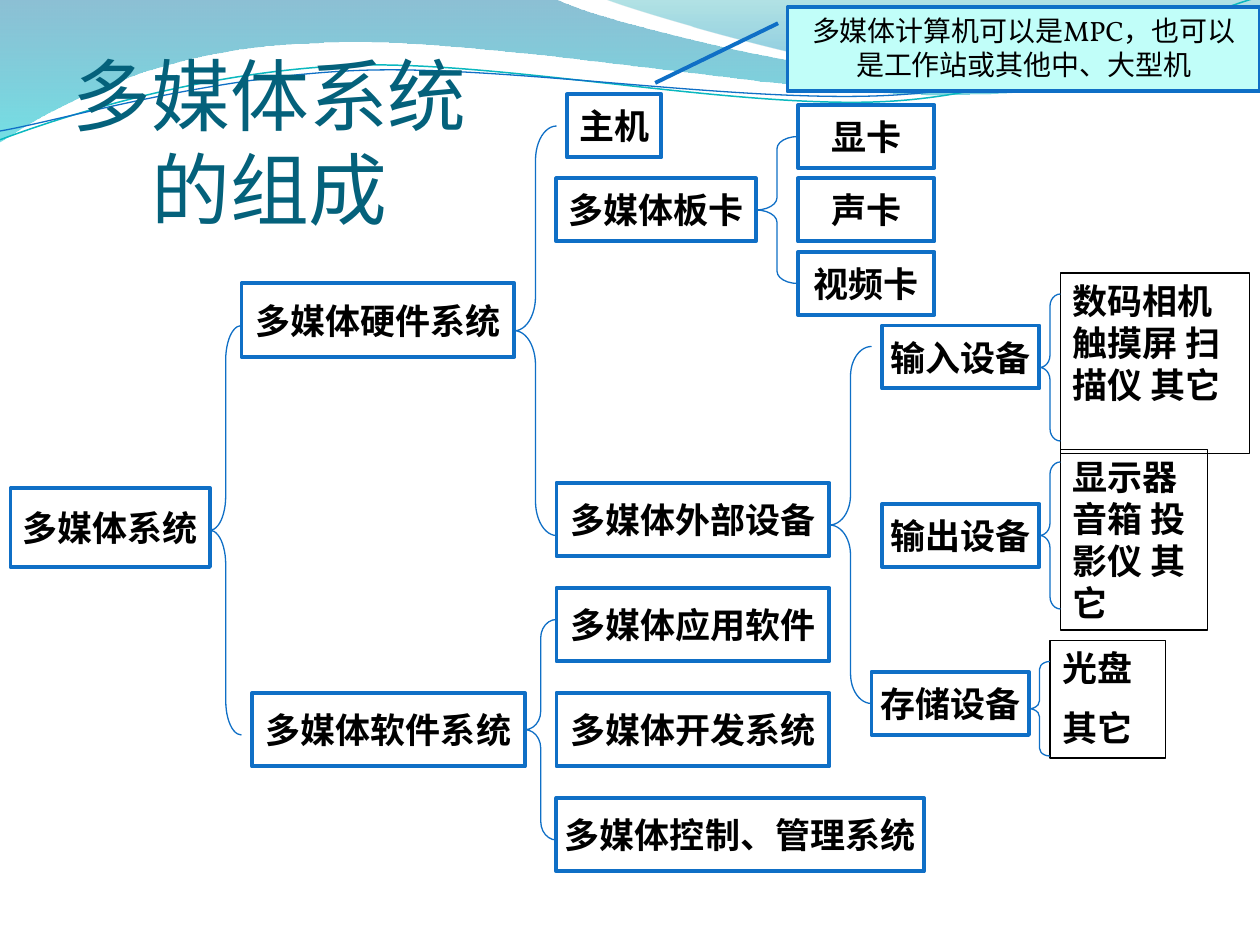
from pptx import Presentation
from pptx.dml.color import RGBColor
from pptx.enum.shapes import MSO_SHAPE
from pptx.enum.text import MSO_ANCHOR, PP_ALIGN
from pptx.oxml import parse_xml
from pptx.oxml.ns import nsdecls, qn
from pptx.util import Inches, Pt

COLORS = {"blue": "0F6FC6", "teal": "0AB8BF", "title": "04617B",
          "black": "000000", "note": "C1FEF9"}
TITLE = "多媒体系统的组成"
NOTE = ("多媒体计算机可以是MPC，也可以是工作站或其他中、大型机", 75, 0.7, 45, 8)

# Boxes: text, column, row, columns wide, rows high (120 x 90 grid)
BOXES = [
    ("多媒体系统", 1, 46.5, 19, 7.5),
    ("多媒体硬件系统", 23, 27, 26, 7),
    ("多媒体软件系统", 24, 66, 26, 7),
    ("主机", 54, 9, 9, 6),
    ("多媒体板卡", 53, 17, 19, 6),
    ("多媒体外部设备", 53, 46, 26, 7),
    ("显卡", 76, 10, 13, 6),
    ("声卡", 76, 17, 13, 6),
    ("视频卡", 76, 24, 13, 6),
    ("输入设备", 84, 31, 15, 6),
    ("输出设备", 84, 48, 15, 6),
    ("存储设备", 83, 64, 15, 6),
    ("多媒体应用软件", 53, 56, 26, 7),
    ("多媒体开发系统", 53, 66, 26, 7),
    ("多媒体控制、管理系统", 53, 76, 35, 7),
]
DEVICES = [
    ("数码相机触摸屏 扫描仪 其它", 101, 26, 18, 17.2),
    ("显示器 音箱 投影仪 其它", 101, 42.8, 14, 17.2),
    ("光盘\n其它", 100, 61, 11, 11.2),
]
BRACES = [(20, 31, 3, 39), (49, 12, 4, 39), (72, 13, 4, 14), (79, 33, 4, 34),
          (50, 59, 3, 21), (99, 28, 2, 14), (99, 44, 2, 14), (98, 63, 2, 9)]

# Waves in inches: a pair is a straight step, six numbers are a curve
BANDS = [
    ([(0, 0), (4.4, -0.01), (4.76, 0.17, 6.64, 0.63, 7.58, 0.63),
      (8.53, 0.63, 9.58, 0.26, 10, 0.09), (10.01, 0.36),
      (9.83, 0.44, 8.7, 0.76, 7.46, 0.75), (6.22, 0.75, 3.82, 0.28, 2.57, 0.34),
      (1.29, 0.36, 0.46, 0.83, -0.01, 1.13)],
     [(0, "0074A1", 45), (100, "00C6CF", 55)]),
    ([(4.79, -0.01), (5.09, 0.11, 6.82, 0.62, 7.69, 0.65),
      (8.56, 0.69, 9.61, 0.32, 10, 0.21), (10, 0)],
     [(0, "00A1A9", 30), (80, "008BBF", 45)]),
]
CURVES = [
    ([(0, 1.11), (0.48, 0.93, 1.58, 0.57, 2.77, 0.52),
      (3.95, 0.47, 5.93, 0.89, 7.13, 0.8), (8.33, 0.71, 9.38, 0.15, 9.98, -0.02)],
     "teal", 0.85),
    ([(0, 1.04), (0.47, 0.96, 1.64, 0.61, 2.83, 0.56),
      (4.03, 0.51, 5.97, 0.84, 7.17, 0.75), (8.36, 0.67, 9.41, 0.21, 10, 0.06)],
     "blue", 0.75),
]

prs = Presentation()
prs.slide_width, prs.slide_height = Inches(10), Inches(7.5)
CELL = prs.slide_width / 120
s = prs.slides.add_slide(prs.slide_layouts[5])


def style(sp, line=None, width=0.75, fill=None):
    sp.shadow.inherit = False
    if fill:
        sp.fill.solid()
        sp.fill.fore_color.rgb = RGBColor.from_string(COLORS[fill])
    else:
        sp.fill.background()
    if line:
        sp.line.color.rgb = RGBColor.from_string(COLORS[line])
        sp.line.width = Pt(width)
    else:
        sp.line.fill.background()
    return sp


def add_wave(steps, close, **look):
    """Outline through the step ends, with the curved steps bent afterwards."""
    ends = [(x * 1000, y * 1000) for *_, x, y in steps]
    builder = s.shapes.build_freeform(*ends[0], scale=914.4)
    builder.add_line_segments(ends[1:], close=close)
    sp = style(builder.convert_to_shape(), **look)
    left, top = (min(axis) for axis in zip(*ends))
    lines = list(sp._element.iter(qn("a:lnTo")))
    for line, step in zip(lines, steps[1:]):
        if len(step) == 6:
            points = "".join(
                f'<a:pt x="{round(x * 1000 - left)}" y="{round(y * 1000 - top)}"/>'
                for x, y in zip(step[::2], step[1::2]))
            line.getparent().replace(line, parse_xml(
                f'<a:cubicBezTo {nsdecls("a")}>{points}</a:cubicBezTo>'))
    return sp


def add_shape(kind, cell, **look):
    return style(s.shapes.add_shape(kind, *(round(v * CELL) for v in cell)), **look)


def write(sp, text, size=20, font="Vollkorn", color="black", bold=True,
          align=PP_ALIGN.CENTER, **frame):
    tf = sp.text_frame
    tf.text = text
    for name, value in frame.items():
        setattr(tf, name, value)
    for i, p in enumerate(tf.paragraphs):
        p.alignment = align
        if i:
            p.space_before = Pt(size / 2)
        for r in p.runs:
            for name, value in {"size": Pt(size), "name": font, "bold": bold}.items():
                setattr(r.font, name, value)
            r.font.color.rgb = RGBColor.from_string(COLORS[color])


# Wave background
for steps, stops in BANDS:
    sp = add_wave(steps, True)
    marks = "".join(f'<a:gs pos="{pos * 1000}"><a:srgbClr val="{color}">'
                    f'<a:alpha val="{alpha * 1000}"/></a:srgbClr></a:gs>'
                    for pos, color, alpha in stops)
    plain = sp._element.spPr.find(qn("a:noFill"))
    plain.getparent().replace(plain, parse_xml(
        f'<a:gradFill {nsdecls("a")}><a:gsLst>{marks}</a:gsLst>'
        '<a:lin ang="5400000" scaled="0"/></a:gradFill>'))
for steps, color, width in CURVES:
    add_wave(steps, False, line=color, width=width)

# Title, brought in front of the waves
title = s.shapes.title
s.shapes._spTree.append(title._element)
title.left, title.top, title.width, title.height = map(Inches, (0.51, 0.62, 3.26, 1.25))
write(title, TITLE, 45, "Calibri", "title", False, word_wrap=True,
      vertical_anchor=MSO_ANCHOR.BOTTOM, margin_left=0, margin_right=0,
      margin_top=Inches(0.05), margin_bottom=0)

# Tree boxes and device lists
for text, *cell in BOXES:
    write(add_shape(MSO_SHAPE.RECTANGLE, cell, line="blue", width=2.25), text,
          word_wrap=False, vertical_anchor=MSO_ANCHOR.MIDDLE)
for text, *cell in DEVICES:
    write(add_shape(MSO_SHAPE.RECTANGLE, cell, line="black"), text,
          align=PP_ALIGN.LEFT, word_wrap=True, vertical_anchor=MSO_ANCHOR.TOP)

# Braces, all with the same curl in proportion to their height
for cell in BRACES:
    sp = add_shape(MSO_SHAPE.LEFT_BRACE, cell, line="blue")
    sp.adjustments[0] = cell[3] / cell[2] / 12

# Note with its leader line
text, *cell = NOTE
sp = add_shape(MSO_SHAPE.LINE_CALLOUT_1, cell, line="blue", width=2.25, fill="note")
for i, value in enumerate((0.19, -0.02, 0.9, -0.28)):
    sp.adjustments[i] = value
write(sp, text, 16, bold=False, word_wrap=True, vertical_anchor=MSO_ANCHOR.TOP)

prs.save("out.pptx")
